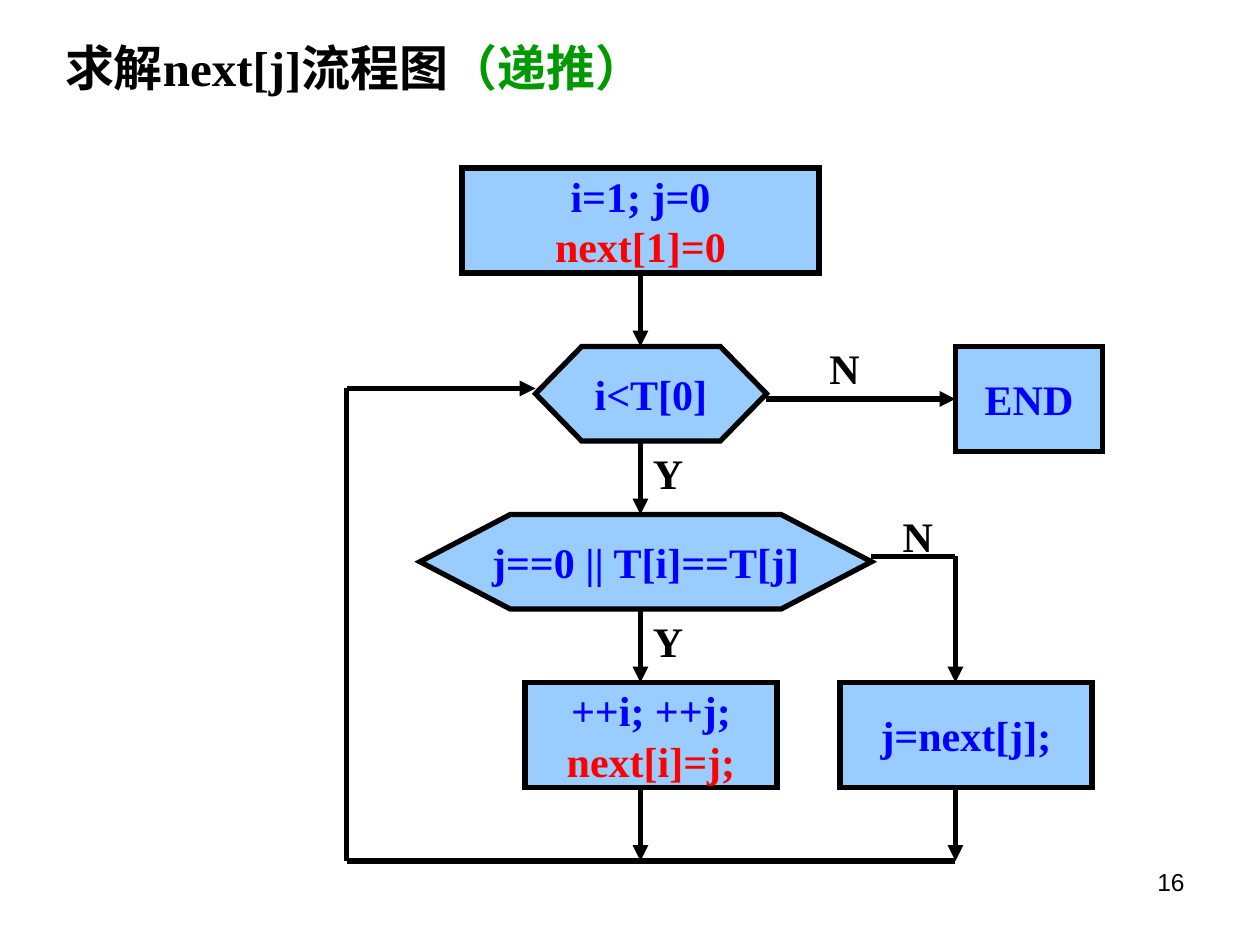
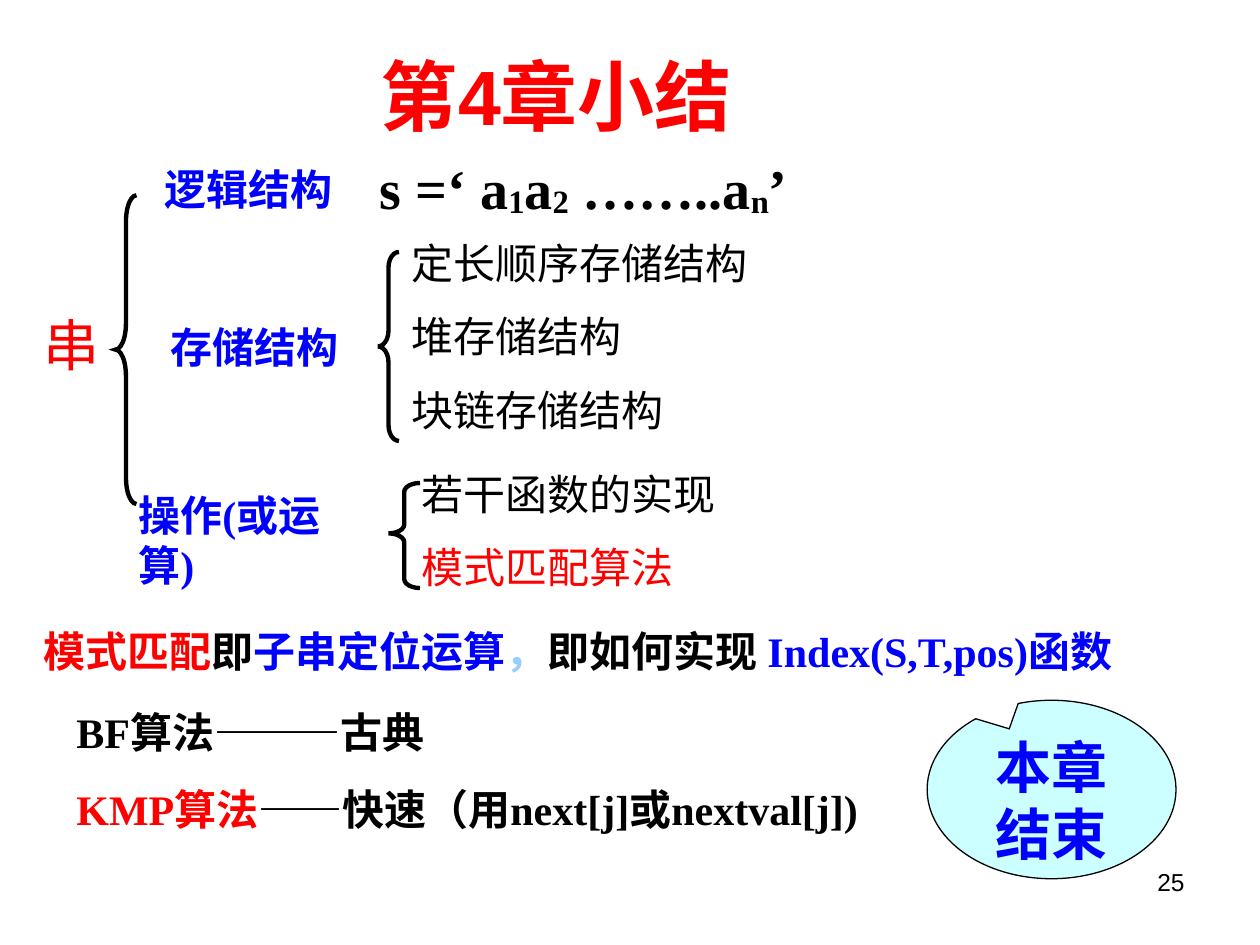
from itertools import pairwise

from lxml.etree import SubElement
from pptx import Presentation
from pptx.dml.color import RGBColor
from pptx.enum.shapes import MSO_CONNECTOR, MSO_SHAPE
from pptx.enum.text import MSO_ANCHOR, PP_ALIGN
from pptx.oxml.ns import qn
from pptx.util import Inches, Pt

BLACK = RGBColor(0x00, 0x00, 0x00)
RED = RGBColor(0xFF, 0x00, 0x00)
BLUE = RGBColor(0x00, 0x00, 0xFF)
GREEN = RGBColor(0x00, 0x99, 0x00)
SKY = RGBColor(0x99, 0xCC, 0xFF)
AQUA = RGBColor(0xCC, 0xFF, 0xFF)

SERIF = "Times New Roman"
SANS = "Arial"
CJK = "Noto Sans CJK SC"

# The slide is a grid of 120 columns by 90 rows
COLUMNS, ROWS = 120, 90
TITLE_ONLY = 5


class Deck:
    """Holds the shared style and the slide being filled."""

    def __init__(self):
        self.prs = Presentation()
        self.prs.slide_width = Inches(10)
        self.prs.slide_height = Inches(7.5)
        self.slide = None

    def x(self, columns):
        return round(self.prs.slide_width * columns / COLUMNS)

    def y(self, rows):
        return round(self.prs.slide_height * rows / ROWS)

    def area(self, left, top, width, height):
        return self.x(left), self.y(top), self.x(width), self.y(height)

    def start(self, number, title_area, title_runs, **style):
        self.slide = self.prs.slides.add_slide(self.prs.slide_layouts[TITLE_ONLY])
        title = self.slide.shapes.title
        title.left, title.top, title.width, title.height = self.area(*title_area)
        title.text_frame.vertical_anchor = MSO_ANCHOR.MIDDLE
        self.fill_text(title.text_frame, [title_runs], **style)
        self.text((86, 82, 28, 6.25), [[(number, BLACK)]], size=14, font=SANS,
                  bold=False, align=PP_ALIGN.RIGHT)

    def fill_text(self, frame, lines, size=24, font=SERIF, bold=True,
                  align=PP_ALIGN.LEFT, gap=0):
        """Each line is a list of runs: (text, colour[, baseline percent])."""
        for index, runs in enumerate(lines):
            paragraph = frame.add_paragraph() if index else frame.paragraphs[0]
            paragraph.alignment = align
            paragraph.line_spacing = Pt(round(1.2 * size, 1))
            paragraph.space_before = Pt(gap if index else 0)
            for content, colour, *baseline in runs:
                run = paragraph.add_run()
                run.text = content
                run.font.size, run.font.bold = Pt(size), bold
                run.font.color.rgb = colour
                run.font.name = font
                properties = run._r.get_or_add_rPr()
                SubElement(properties, qn("a:ea")).set("typeface", CJK)
                if baseline:
                    properties.set("baseline", str(baseline[0] * 1000))

    def text(self, area, lines, wrap=True, **style):
        box = self.slide.shapes.add_textbox(*self.area(*area))
        box.text_frame.word_wrap = wrap
        self.fill_text(box.text_frame, lines, **style)

    def shape(self, kind, area, fill=None, weight=3.0, adjustments=()):
        shape = self.slide.shapes.add_shape(kind, *self.area(*area))
        shape.shadow.inherit = False
        if fill is None:
            shape.fill.background()
        else:
            shape.fill.solid()
            shape.fill.fore_color.rgb = fill
        shape.line.color.rgb = BLACK
        shape.line.width = Pt(weight)
        SubElement(shape.line._get_or_add_ln(), qn("a:miter")).set("lim", "800000")
        for index, value in enumerate(adjustments):
            shape.adjustments[index] = value
        return shape

    def step(self, kind, area, *lines):
        frame = self.shape(kind, area, SKY).text_frame
        frame.word_wrap = False
        frame.vertical_anchor = MSO_ANCHOR.MIDDLE
        self.fill_text(frame, [[line] for line in lines], align=PP_ALIGN.CENTER)

    def brace(self, area, curl, tip=0.5):
        self.shape(MSO_SHAPE.LEFT_BRACE, area, weight=2.5, adjustments=(curl, tip))

    def route(self, *points):
        """Straight legs through the points, with an arrow at the end."""
        for (x1, y1), (x2, y2) in pairwise(points):
            leg = self.slide.shapes.add_connector(
                MSO_CONNECTOR.STRAIGHT, self.x(x1), self.y(y1), self.x(x2), self.y(y2))
            leg.line.color.rgb = BLACK
            leg.line.width = Pt(3)
            SubElement(leg._element.spPr, qn("a:effectLst"))
        SubElement(leg.line._get_or_add_ln(), qn("a:tailEnd")).set("type", "triangle")


def build_flowchart(deck):
    deck.start("16", (5, 3, 79, 6.8),
               [("求解next[j]流程图", BLACK), ("（递推）", GREEN)], size=28)

    # Steps and decisions
    process, decision = MSO_SHAPE.FLOWCHART_PROCESS, MSO_SHAPE.FLOWCHART_PREPARATION
    deck.step(process, (44, 16, 34, 10), ("i=1; j=0", BLUE), ("next[1]=0", RED))
    deck.step(decision, (51, 33, 22, 9), ("i<T[0]", BLUE))
    deck.step(decision, (40, 49, 43, 9), ("j==0 || T[i]==T[j]", BLUE))
    deck.step(process, (50, 65, 24, 10), ("++i; ++j;", BLUE), ("next[i]=j;", RED))
    deck.step(process, (80, 65, 24, 10), ("j=next[j];", BLUE))
    deck.step(process, (91, 33, 14, 10), ("END", BLUE))

    # Downward flow: main column, then the mismatch column
    main_column, mismatch = 61, 91
    for top in (26, 42, 58, 75):
        deck.route((main_column, top), (main_column, top + 7))
    deck.route((mismatch, 75), (mismatch, 82))

    # Branches and the loop back
    deck.route((83, 53), (mismatch, 53), (mismatch, 65))
    deck.route((73, 38), (91, 38))
    deck.route((mismatch, 82), (33, 82), (33, 37), (51, 37))

    # Branch labels
    for answer, left, top in (("Y", 61, 42), ("Y", 61, 58),
                              ("N", 77.8, 32), ("N", 84.8, 48)):
        deck.text((left, top, 5.3, 6), [[(answer, BLACK)]], wrap=False)


def build_summary(deck):
    deck.start("25", (10, 4, 86, 10), [("第4章小结", RED)],
               size=44, font=SANS, align=PP_ALIGN.CENTER)

    # Root and its three branches
    deck.text((3, 29, 7.7, 7.7), [[("串", RED)]], wrap=False, size=32, bold=False)
    deck.brace((11, 18.6, 2, 29.4), 1.25)
    for branch, left, top, width in (("逻辑结构", 14.5, 15, 18.4),
                                     ("存储结构", 15.1, 30, 18.4),
                                     ("操作(或运算)", 12, 46, 24)):
        deck.text((left, top, width, 6), [[(branch, BLUE)]])

    # Logical structure
    deck.text((35, 14, 68, 7.7), [[
        ("s =‘ a", BLACK), ("1", BLACK, -8), ("a", BLACK), ("2", BLACK, -8),
        (" ……..a", BLACK), ("n", BLACK, -8), ("’", BLACK)]], size=32)

    # Storage structures and operations
    deck.brace((36, 24, 2, 18), 0.75)
    deck.brace((37, 46, 3, 10), 0.28, 0.48)
    for leaf, colour, left, top in (("定长顺序存储结构", BLACK, 38, 22),
                                    ("堆存储结构", BLACK, 38, 29),
                                    ("块链存储结构", BLACK, 38, 36),
                                    ("若干函数的实现", BLACK, 39, 44),
                                    ("模式匹配算法", RED, 39, 51)):
        deck.text((left, top, 35, 6), [[(leaf, colour)]], bold=False)

    # Pattern matching and its algorithms
    deck.text((3, 59, 113, 6), [[
        ("模式匹配", RED), ("即", BLACK), ("子串定位运算", BLUE), ("，", SKY),
        ("即如何实现 ", BLACK), ("Index(S,T,pos)函数", BLUE)]])
    deck.text((6.1, 66.7, 84.6, 13.3), [
        [("BF算法———古典", BLACK)],
        [("KMP算法", RED), ("——快速（用next[j]或nextval[j])", BLACK)]], gap=15)

    # Closing bubble
    bubble = deck.shape(MSO_SHAPE.OVAL_CALLOUT, (88.3, 66.7, 23.7, 17), AQUA,
                        weight=0.75, adjustments=(-0.17, -0.34))
    bubble.text_frame.word_wrap = True
    bubble.text_frame.vertical_anchor = MSO_ANCHOR.TOP
    deck.fill_text(bubble.text_frame, [[("本章结束", BLUE)]], size=32, font=CJK,
                   align=PP_ALIGN.CENTER)


def main():
    deck = Deck()
    build_flowchart(deck)
    build_summary(deck)
    deck.prs.save("out.pptx")


if __name__ == "__main__":
    main()
